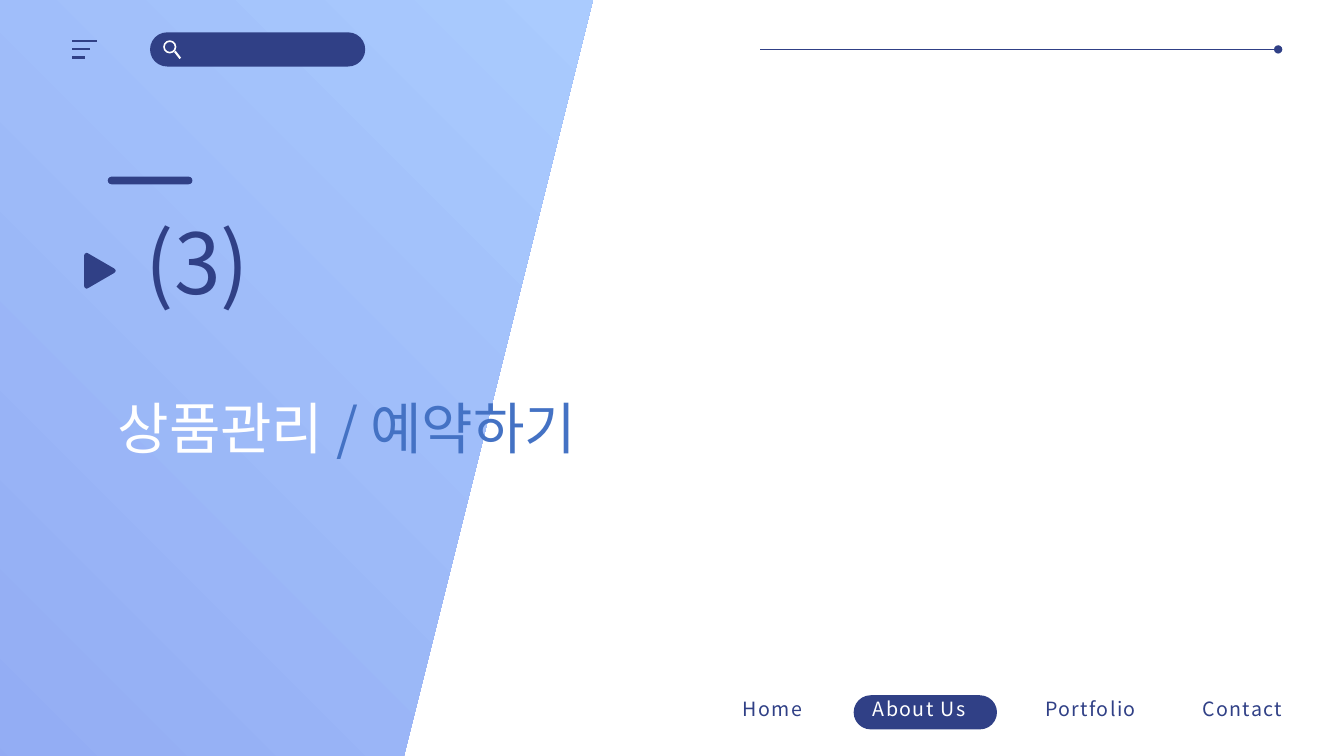
from lxml import etree
from pptx import Presentation
from pptx.dml.color import RGBColor
from pptx.enum.shapes import MSO_CONNECTOR, MSO_SHAPE
from pptx.enum.text import MSO_AUTO_SIZE, PP_ALIGN
from pptx.oxml.ns import qn
from pptx.util import Pt

LINE = MSO_CONNECTOR.STRAIGHT
ROUND, RING = MSO_SHAPE.ROUNDED_RECTANGLE, MSO_SHAPE.DONUT
SLANT = MSO_SHAPE.PARALLELOGRAM
LEFT, JUST = PP_ALIGN.LEFT, PP_ALIGN.JUSTIFY
FIT = MSO_AUTO_SIZE.SHAPE_TO_FIT_TEXT
FONT = "Noto Sans CJK SC"
COLORS = {"navy": "304086", "white": "FFFFFF", "blue": "4472C4",
          "dusk": "8BA2F0", "sky": "AACBFE"}


def color(name):
    return RGBColor.from_string(COLORS[name])


def paint(shape, name):
    shape.shadow.inherit = False
    shape.fill.solid()
    shape.fill.fore_color.rgb = color(name)
    shape.line.fill.background()


def add_form(slide, kind, box, name, adj=0.5):
    shape = slide.shapes.add_shape(kind, *map(Pt, box))
    shape.adjustments[0] = adj
    paint(shape, name)
    return shape


def add_line(slide, ends, name, width, dot=False):
    line = slide.shapes.add_connector(LINE, *map(Pt, ends))
    line.line.color.rgb = color(name)
    line.line.width = Pt(width)
    if dot:
        etree.SubElement(line.line._get_or_add_ln(), qn("a:tailEnd"), type="oval")
    etree.SubElement(line._element.spPr, qn("a:effectLst"))


def add_text(slide, box, runs, size, wrap=True, align=JUST, gap=0):
    frame = slide.shapes.add_textbox(*map(Pt, box)).text_frame
    frame.word_wrap = wrap
    frame.auto_size = FIT
    para = frame.paragraphs[0]
    para.alignment = align
    for text, name in runs:
        run = para.add_run()
        run.text = text
        for key, value in {"name": FONT, "size": Pt(size)}.items():
            setattr(run.font, key, value)
        run.font.color.rgb = color(name)
        props = run._r.get_or_add_rPr()
        if gap:
            props.set("spc", str(gap * 100))
        for tag in ("a:ea", "a:cs"):
            etree.SubElement(props, qn(tag), typeface=FONT)


def add_panel(slide, x, y, w, h):
    """Slanted gradient panel."""
    panel = add_form(slide, SLANT, (x, y, w, h), "sky", 0.25)
    panel.fill.gradient()
    panel.fill.gradient_angle = 45
    for stop, name, place in zip(panel.fill.gradient_stops, ("dusk", "sky"), (0, 1)):
        stop.color.rgb = color(name)
        stop.position = place


def add_head(slide, x, y):
    """Menu icon, search bar and rule, centred on y."""
    add_form(slide, ROUND, (x + 55.6, y - 12.2, 153.7, 24.4), "navy")
    add_form(slide, RING, (x + 65, y - 6.5, 9.4, 9.4), "white", 0.125)
    add_line(slide, (x + 73.3, y + 1.4, x + 77.2, y + 6.4), "white", 1.5)
    for i, w in enumerate((17.8, 12.6, 9.2)):
        top = y + (i - 1) * 5.8
        add_line(slide, (x, top, x + w, top), "navy", 1.5)
    add_line(slide, (x + 491.4, y, x + 861.4, y), "navy", 0.5, dot=True)


def add_title(slide, x, y):
    """Bar, arrow, number and heading below the bar."""
    add_form(slide, ROUND, (x, y, 60.5, 5.4), "navy")
    add_text(slide, (x + 20.2, y + 20.9, 100, 80),
             [("(3)", "navy")], 60)
    add_text(slide, (x, y + 151.2, 568.8, 55.4),
             [("상품관리 ", "white"), ("/ 예약하기", "blue")], 40)
    add_arrow(slide, x - 17, y + 54.4, 22.6, 25.6)


def add_arrow(slide, x, y, w, h):
    """Triangle with softened corners."""
    half = [(0, 2.2), (0.5, 0.8), (1.6, 0), (2.6, 0.2),
            (w - 1, h / 2 - 1.6), (w - 0.2, h / 2 - 0.8)]
    dots = half + [(w, h / 2)] + [(a, h - b) for a, b in reversed(half)]
    spots = [(Pt(x + a), Pt(y + b)) for a, b in dots]
    form = slide.shapes.build_freeform(*spots[0])
    form.add_line_segments(spots[1:], close=True)
    paint(form.convert_to_shape(), "navy")


def add_nav(slide, x, y):
    """Bottom links, the current one on a pill."""
    links = [("Home", 0, 59.8), ("About Us", 92.9, 91.4),
             ("Portfolio", 216, 82.1), ("Contact", 328.3, 79.2)]
    for text, left, width in links:
        here = text == "About Us"
        if here:
            add_form(slide, ROUND, (x + left - 6.5, y + 2, 102.4, 24.4), "navy")
        add_text(slide, (x + left, y, width, 24.5),
                 [(text, "white" if here else "navy")], 14, False, LEFT, 1)


def main():
    deck = Presentation()
    deck.slide_width, deck.slide_height = Pt(960), Pt(540)
    slide = deck.slides.add_slide(deck.slide_layouts[6])
    add_panel(slide, -237.6, 0, 661.2, 616.3)
    add_head(slide, 51.6, 35.3)
    add_nav(slide, 523.4, 494.6)
    add_title(slide, 77, 126.2)
    deck.save("out.pptx")


if __name__ == "__main__":
    main()
